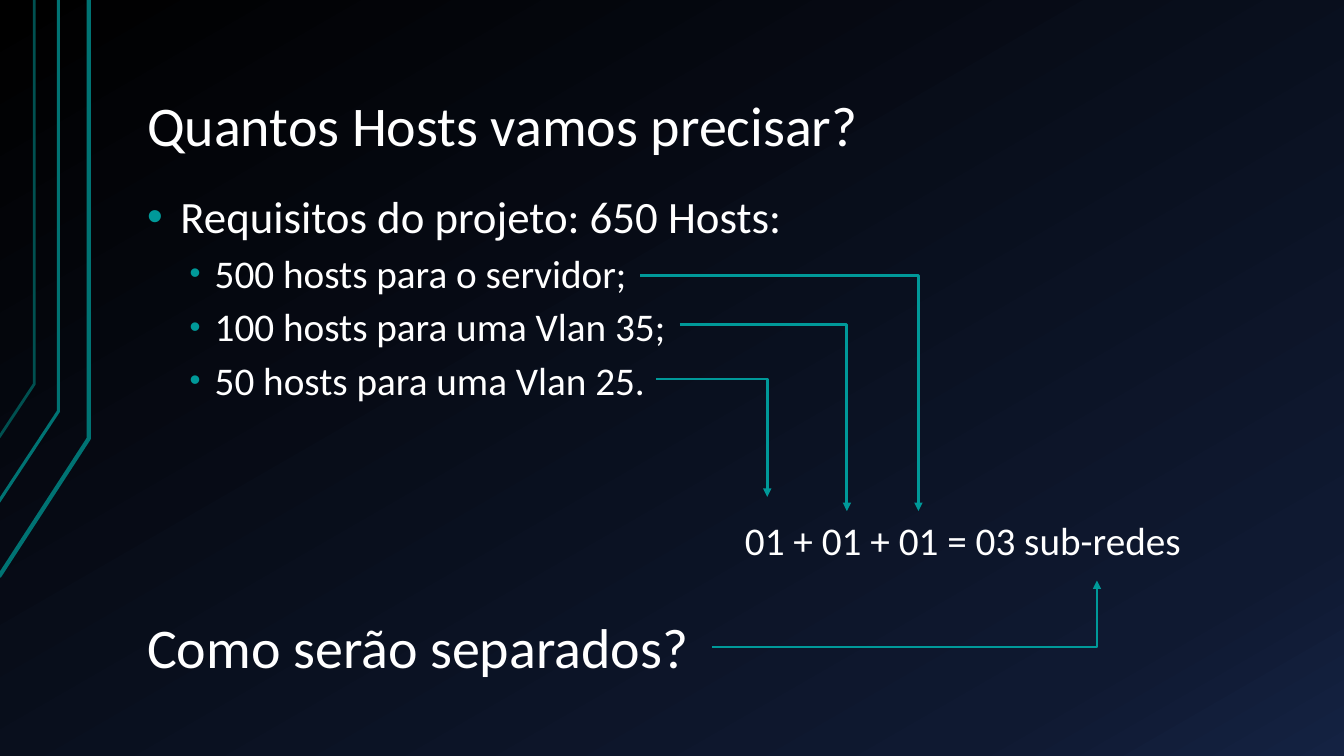
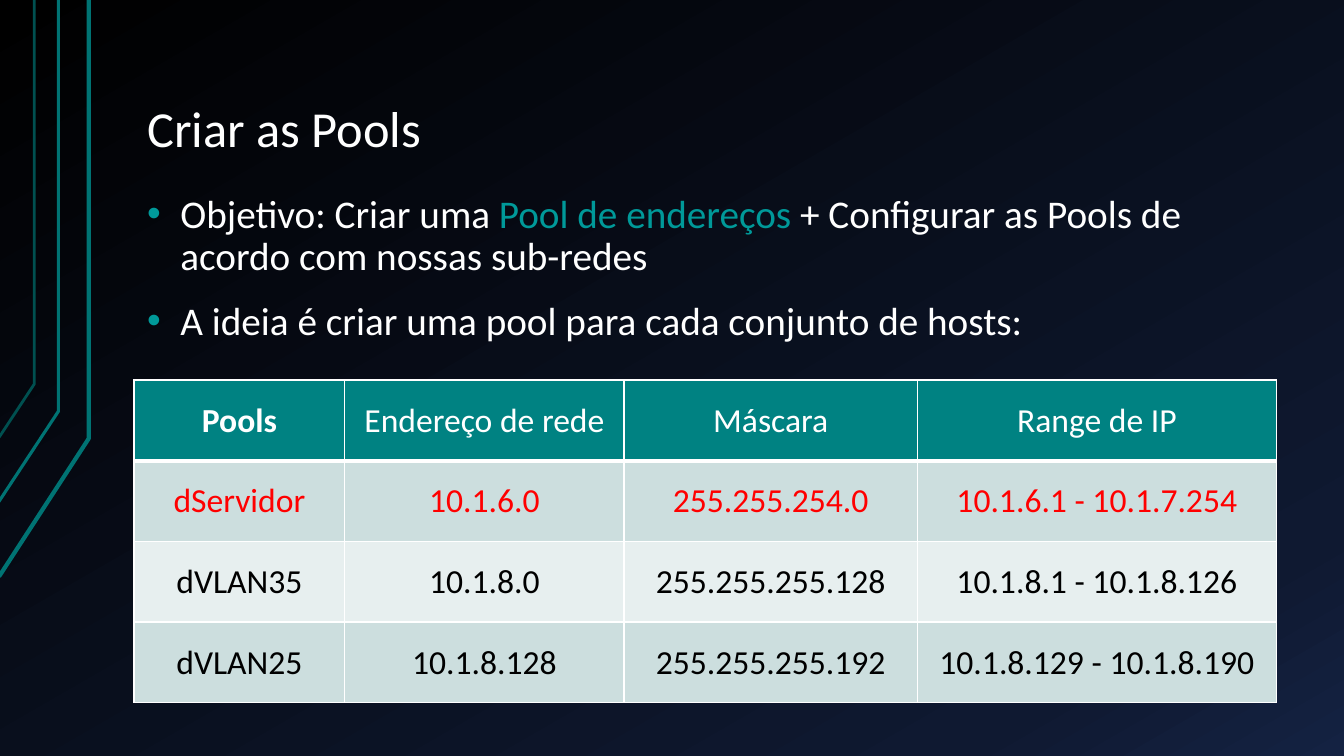
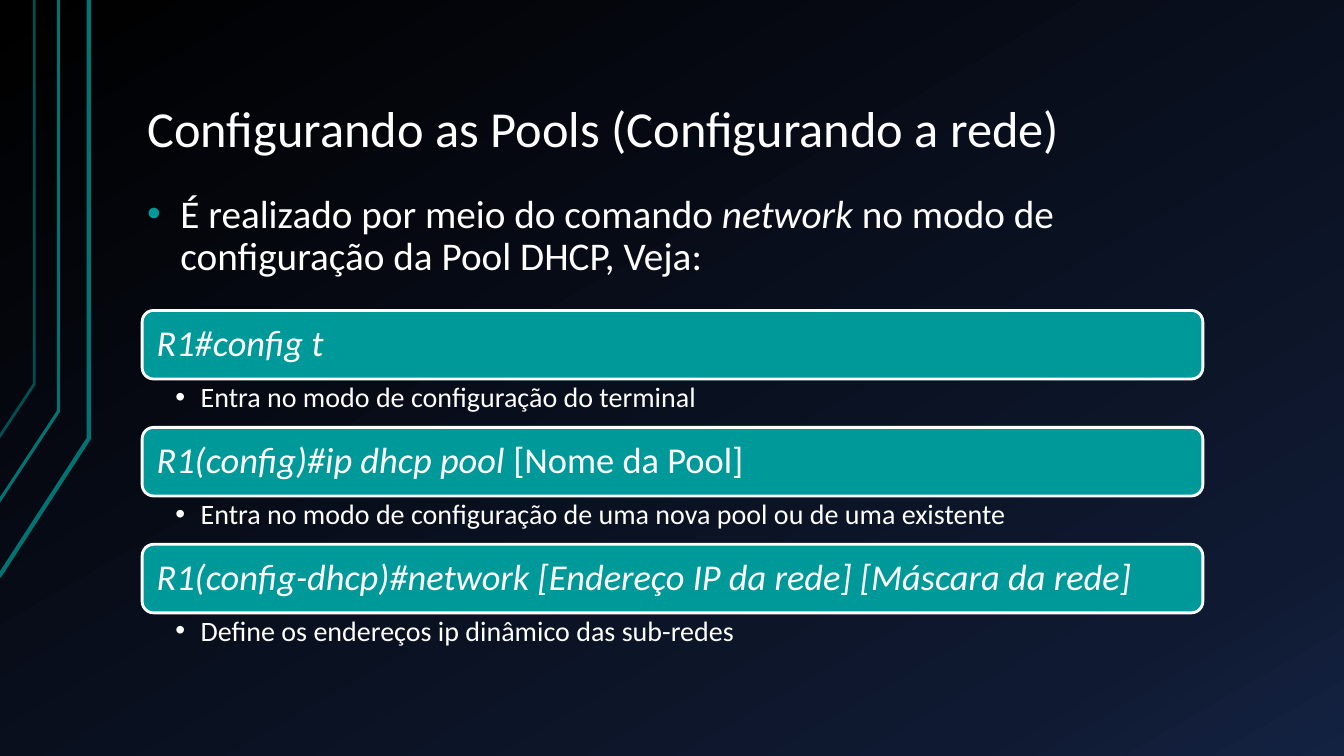
from dataclasses import dataclass
from pptx import Presentation
from pptx.dml.color import RGBColor
from pptx.enum.shapes import MSO_CONNECTOR as CONN, MSO_SHAPE as SHAPE
from pptx.enum.text import MSO_ANCHOR as ANCHOR, PP_ALIGN as ALIGN
from pptx.oxml import parse_xml
from pptx.oxml.ns import nsdecls, qn
from pptx.util import Inches, Pt
from lxml.etree import SubElement


@dataclass(frozen=True)
class Theme:
    font: str = "Calibri"
    white: str = "FFFFFF"
    black: str = "000000"
    red: str = "FF0000"
    teal: str = "009999"
    rail: str = "007373"
    rail_dim: str = "005050"
    header: str = "008282"
    bands: tuple = ("CCDEDE", "E7EFEF")
    backdrop: tuple = ((0, "000000"), (85, "0F1931"), (100, "142242"))
    backdrop_angle: int = 60
    title_big: int = 40
    title: int = 36
    body_big: int = 32
    body: int = 28
    command: int = 26
    cell: int = 24
    caption: int = 20


T = Theme()
LEFT, WIDTH = 1.33, 11.33
PLACEHOLDER_INSETS = (0.13, 0.07, 0.13, 0.07)


def rgb(color):
    return RGBColor.from_string(color)


def add_text(p, text, size=T.body, color=T.white, bold=False, italic=False):
    r = p.add_run()
    r.text = text
    f = r.font
    f.name, f.size, f.bold, f.italic = T.font, Pt(size), bold, italic
    f.color.rgb = rgb(color)


def add_runs(p, runs, **fmt):
    for text, extra in [(runs, {})] if isinstance(runs, str) else runs:
        add_text(p, text, **{**fmt, **extra})


def add_bullet(p, margin, hang, color, percent=100):
    pPr = p._p.get_or_add_pPr()
    pPr.set("marL", str(Inches(margin)))
    pPr.set("indent", str(-Inches(hang)))
    clr = SubElement(pPr, qn("a:buClr"))
    SubElement(clr, qn("a:srgbClr"), val=color)
    SubElement(pPr, qn("a:buSzPct"), val=str(percent * 1000))
    SubElement(pPr, qn("a:buFont"), typeface="Arial")
    SubElement(pPr, qn("a:buChar"), char="•")


def set_frame(tf, insets, anchor=ANCHOR.TOP, wrap=True):
    tf.word_wrap = wrap
    tf.vertical_anchor = anchor
    tf.margin_left, tf.margin_top, tf.margin_right, tf.margin_bottom = map(Inches, insets)


def set_borders(cell, **widths):
    tcPr = cell._tc.get_or_add_tcPr()
    for i, side in enumerate("LRTB"):
        tcPr.insert(i, parse_xml(
            f'<a:ln{side} {nsdecls("a")} w="{Pt(widths.get(side, 1))}"><a:solidFill>'
            f'<a:srgbClr val="{T.white}"/></a:solidFill></a:ln{side}>'))


class Deck:
    def __init__(self):
        self.prs = Presentation()
        self.prs.slide_width, self.prs.slide_height = Inches(13.33), Inches(7.5)
        self.s = None

    def slide(self, title, size=T.title):
        self.s = self.prs.slides.add_slide(self.prs.slide_layouts[6])
        self.backdrop()
        self.rail([(-0.01, 5.72), (0.88, 4.35), (0.88, 0)], 3)
        self.rail([(-0.02, 4.99), (0.58, 4.08), (0.58, 0)], 2.25)
        self.rail([(-0.01, 4.34), (0.34, 3.81), (0.34, 0)], 2, T.rail_dim)
        self.heading(title, 0.3, 1.34, size)

    def backdrop(self):
        stops = "".join(f'<a:gs pos="{pos * 1000}"><a:srgbClr val="{color}"/></a:gs>'
                        for pos, color in T.backdrop)
        self.s.element.cSld.insert(0, parse_xml(
            f'<p:bg {nsdecls("p", "a")}><p:bgPr><a:gradFill rotWithShape="1">'
            f'<a:gsLst>{stops}</a:gsLst><a:lin ang="{T.backdrop_angle * 60000}" scaled="0"/>'
            '</a:gradFill><a:effectLst/></p:bgPr></p:bg>'))

    def rail(self, points, width, color=T.rail):
        start, *rest = [(Inches(x), Inches(y)) for x, y in points]
        builder = self.s.shapes.build_freeform(*start)
        builder.add_line_segments(rest, close=False)
        sp = builder.convert_to_shape()
        sp.shadow.inherit = False
        sp.fill.background()
        sp.line.color.rgb, sp.line.width = rgb(color), Pt(width)

    def box(self, x, y, w, h, insets, **frame):
        tf = self.s.shapes.add_textbox(*map(Inches, (x, y, w, h))).text_frame
        set_frame(tf, insets, **frame)
        return tf

    def heading(self, text, y, h, size):
        tf = self.box(LEFT, y, WIDTH, h, PLACEHOLDER_INSETS, anchor=ANCHOR.BOTTOM)
        tf.paragraphs[0].line_spacing = 0.9
        add_text(tf.paragraphs[0], text, size=size)

    def body(self, items, h, size=T.body):
        tf = self.box(LEFT, 1.86, WIDTH, h, PLACEHOLDER_INSETS)
        for i, (level, runs) in enumerate(items):
            p = tf.add_paragraph() if i else tf.paragraphs[0]
            p.level = level
            if level:
                add_bullet(p, 0.67, 0.25, T.teal, 80)
            else:
                add_bullet(p, 0.33, 0.33, T.teal)
            p.line_spacing = 0.9
            if i:
                p.space_before = Pt(8 if level else 16)
            add_runs(p, runs, size=T.body if level else size)

    def label(self, text, x, y, w, h):
        tf = self.box(x, y, w, h, (0.1, 0.05, 0.1, 0.05), wrap=False)
        add_text(tf.paragraphs[0], text)

    def elbow_arrow(self, *ends):
        c = self.s.shapes.add_connector(CONN.ELBOW, *map(Inches, ends))
        c.line.color.rgb, c.line.width = rgb(T.teal), Pt(2)
        spPr = c._element.spPr
        avLst = spPr.find(qn("a:prstGeom")).get_or_add_avLst()
        SubElement(avLst, qn("a:gd"), name="adj1", fmla="val 100000")
        SubElement(spPr.find(qn("a:ln")), qn("a:tailEnd"), type="triangle")
        SubElement(spPr, qn("a:effectLst"))

    def table(self, rows, colors, y, widths, row_h):
        tbl = self.s.shapes.add_table(
            len(rows), len(widths), Inches(LEFT), Inches(y),
            Inches(sum(widths)), Inches(row_h * len(rows))).table
        for col, w in zip(tbl.columns, widths):
            col.width = Inches(w)
        for i, (row, color) in enumerate(zip(rows, colors)):
            for j, text in enumerate(row):
                cell = tbl.cell(i, j)
                cell.fill.solid()
                cell.fill.fore_color.rgb = rgb(T.bands[(i - 1) % 2] if i else T.header)
                set_borders(cell, T=3 if i == 1 else 1, B=1 if i else 3)
                cell.vertical_anchor = ANCHOR.MIDDLE
                cell.margin_left = cell.margin_right = cell.margin_top = Inches(0.01)
                cell.margin_bottom = 0
                p = cell.text_frame.paragraphs[0]
                p.alignment = ALIGN.CENTER
                add_text(p, text, size=T.cell, color=color, bold=i == j == 0)

    def command(self, runs, caption, y, x=1.41, w=10.52, bar_h=0.68, caption_h=0.47):
        sp = self.s.shapes.add_shape(SHAPE.ROUNDED_RECTANGLE, *map(Inches, (x, y, w, bar_h)))
        sp.shadow.inherit = False
        sp.fill.solid()
        sp.fill.fore_color.rgb = rgb(T.teal)
        sp.line.color.rgb, sp.line.width = rgb(T.white), Pt(2)
        set_frame(sp.text_frame, (0.11,) * 4, anchor=ANCHOR.MIDDLE)
        p = sp.text_frame.paragraphs[0]
        p.alignment, p.line_spacing = ALIGN.LEFT, 0.9
        add_runs(p, runs, size=T.command, italic=True)
        p = self.box(x, y + bar_h, w, caption_h, (0.33, 0.04, 0.2, 0.04)).paragraphs[0]
        add_bullet(p, 0.25, 0.25, T.white)
        p.line_spacing = 0.9
        add_text(p, caption, size=T.caption)


def hosts_slide(d):
    d.slide("Quantos Hosts vamos precisar?", T.title_big)
    d.body([(0, "Requisitos do projeto: 650 Hosts:"),
            (1, "500 hosts para o servidor;"),
            (1, "100 hosts para uma Vlan 35;"),
            (1, "50 hosts para uma Vlan 25.")], 3.78, T.body_big)
    d.label("01 + 01 + 01 = 03 sub-redes", 7.29, 5.07, 4.59, 0.57)
    d.heading("Como serão separados?", 5.64, 1.18, T.title_big)
    for ends in [(6.51, 3.76, 7.61, 4.93), (6.74, 3.22, 8.4, 5.07),
                 (6.35, 2.73, 9.11, 5.07), (7.06, 6.42, 10.88, 5.76)]:
        d.elbow_arrow(*ends)


def pools_slide(d):
    d.slide("Criar as Pools")
    d.body([(0, [("Objetivo: Criar uma ", {}),
                 ("Pool de endereços ", {"color": T.teal}),
                 ("+ Configurar as Pools de acordo com nossas sub-redes", {})]),
            (0, "A ideia é criar uma pool para cada conjunto de hosts:")], 4.88)
    d.table([("Pools", "Endereço de rede", "Máscara", "Range de IP"),
             ("dServidor", "10.1.6.0", "255.255.254.0", "10.1.6.1 - 10.1.7.254"),
             ("dVLAN35", "10.1.8.0", "255.255.255.128", "10.1.8.1 - 10.1.8.126"),
             ("dVLAN25", "10.1.8.128", "255.255.255.192", "10.1.8.129 - 10.1.8.190")],
            (T.white, T.red, T.black, T.black), 3.77, (2.09, 2.77, 2.91, 3.56), 0.8)


def network_slide(d):
    d.slide("Configurando as Pools (Configurando a rede)")
    d.body([(0, [("É realizado por meio do comando ", {}),
                 ("network ", {"italic": True}),
                 ("no modo de configuração da Pool DHCP, Veja:", {})])], 4.88)
    steps = [("R1#config t", "Entra no modo de configuração do terminal"),
             ([("R1(config)#ip dhcp pool ", {}), ("[Nome da Pool]", {"italic": False})],
              "Entra no modo de configuração de uma nova pool ou de uma existente"),
             ("R1(config-dhcp)#network [Endereço IP da rede] [Máscara da rede]",
              "Define os endereços ip dinâmico das sub-redes")]
    for i, (runs, caption) in enumerate(steps):
        d.command(runs, caption, 3.08 + 1.16 * i)


def main():
    d = Deck()
    for build in (hosts_slide, pools_slide, network_slide):
        build(d)
    d.prs.save("out.pptx")


if __name__ == "__main__":
    main()
